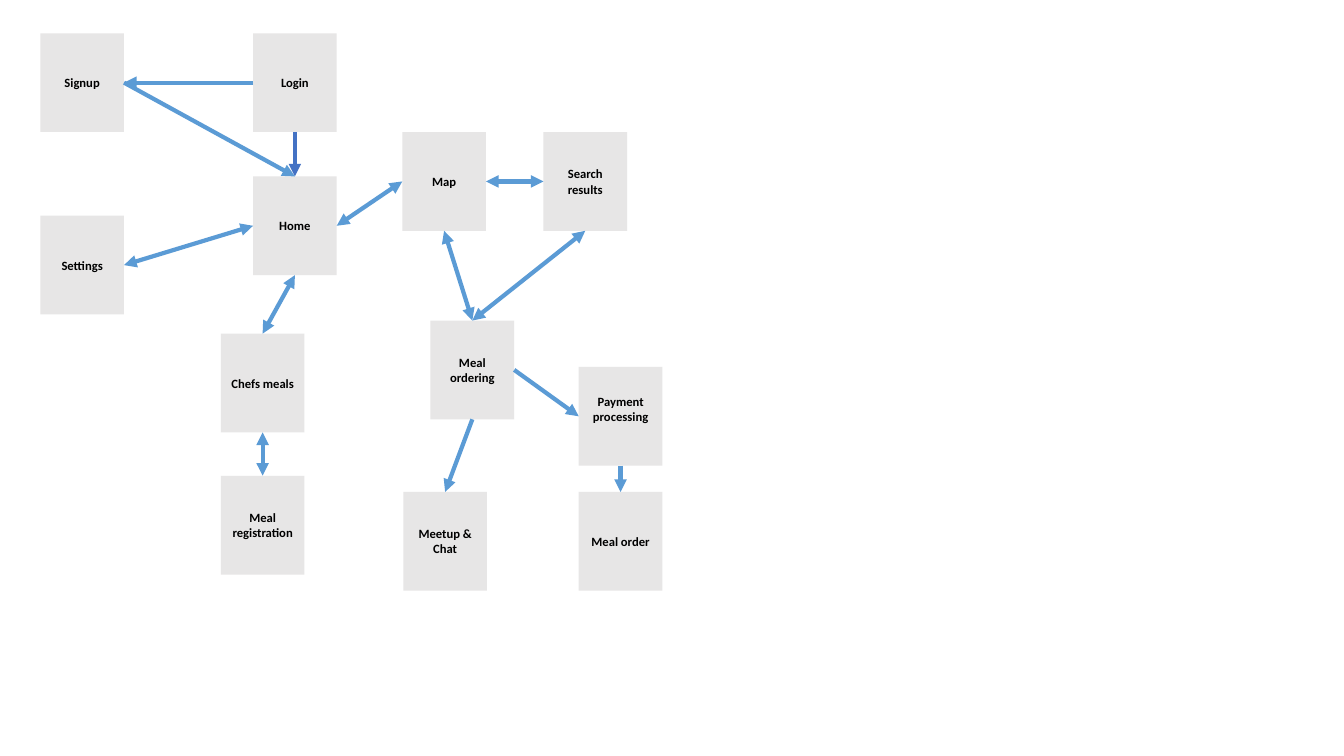
from dataclasses import dataclass

from lxml.etree import SubElement
from pptx import Presentation
from pptx.dml.color import RGBColor
from pptx.enum.shapes import MSO_CONNECTOR as Connector, MSO_SHAPE as Shape
from pptx.enum.text import MSO_ANCHOR as Anchor, PP_ALIGN as Align
from pptx.oxml.ns import qn
from pptx.util import Pt

PX = 9144
SLIDE_WIDTH, SLIDE_HEIGHT = 1333, 750
SCREEN_WIDTH, SCREEN_HEIGHT = 83, 98
TOP, LEFT, BOTTOM, RIGHT = range(4)


@dataclass(frozen=True)
class Theme:
    font: str = "Calibri"
    text_size: int = 9
    line_width: int = 3
    text: RGBColor = RGBColor(0x00, 0x00, 0x00)
    screen: RGBColor = RGBColor(0xE7, 0xE6, 0xE6)
    arrow: RGBColor = RGBColor(0x5B, 0x9B, 0xD5)
    main_arrow: RGBColor = RGBColor(0x44, 0x72, 0xC4)


THEME = Theme()

SCREENS = {
    "Login": (211, 0),
    "Signup": (0, 0),
    "Home": (211, 142),
    "Search results": (499, 98),
    "Meal ordering": (387, 285),
    "Payment processing": (534, 331),
    "Meal order": (534, 455),
    "Meetup & Chat": (360, 455),
    "Meal registration": (179, 439),
    "Settings": (0, 181),
    "Map": (359, 98),
    "Chefs meals": (179, 298),
}
RAISED_LABELS = {"Payment processing": 15}

ONE_WAY = [
    ("Login", LEFT, "Signup", RIGHT),
    ("Login", BOTTOM, "Home", TOP),
    ("Meal ordering", RIGHT, "Payment processing", LEFT),
    ("Meal ordering", BOTTOM, "Meetup & Chat", TOP),
    ("Payment processing", BOTTOM, "Meal order", TOP),
    ("Signup", RIGHT, "Home", TOP),
]
TWO_WAY = [
    ("Settings", RIGHT, "Home", LEFT),
    ("Chefs meals", TOP, "Home", BOTTOM),
    ("Meal registration", TOP, "Chefs meals", BOTTOM),
    ("Map", RIGHT, "Search results", LEFT),
    ("Meal ordering", TOP, "Map", BOTTOM),
    ("Meal ordering", TOP, "Search results", BOTTOM),
    ("Map", LEFT, "Home", RIGHT),
]


def add_screen(slide, label, left, top):
    shape = slide.shapes.add_shape(
        Shape.RECTANGLE, left * PX, top * PX, SCREEN_WIDTH * PX, SCREEN_HEIGHT * PX
    )
    shape.shadow.inherit = False
    shape.fill.solid()
    shape.fill.fore_color.rgb = THEME.screen
    shape.line.fill.background()
    frame = shape.text_frame
    frame.word_wrap = True
    frame.vertical_anchor = Anchor.MIDDLE
    frame.margin_left = frame.margin_right = 7 * PX
    frame.margin_top = 5 * PX
    frame.margin_bottom = (5 + RAISED_LABELS.get(label, 0)) * PX
    paragraph = frame.paragraphs[0]
    paragraph.text = label
    paragraph.alignment = Align.CENTER
    font = paragraph.font
    font.name = THEME.font
    font.size = Pt(THEME.text_size)
    font.bold = True
    font.color.rgb = THEME.text
    return shape


def add_arrow(slide, start, start_side, end, end_side, color, ends):
    arrow = slide.shapes.add_connector(
        Connector.STRAIGHT, start.left, start.top, end.left, end.top
    )
    arrow.begin_connect(start, start_side)
    arrow.end_connect(end, end_side)
    arrow.line.color.rgb = color
    arrow.line.width = Pt(THEME.line_width)
    properties = arrow._element.spPr
    outline = properties.find(qn("a:ln"))
    for end_name in ends:
        SubElement(outline, qn(f"a:{end_name}"), type="triangle")
    SubElement(properties, qn("a:effectLst"))


def add_screen_flow(slide, left, top):
    screens = {
        label: add_screen(slide, label, left + x, top + y)
        for label, (x, y) in SCREENS.items()
    }
    for links, ends in ((ONE_WAY, ["tailEnd"]), (TWO_WAY, ["headEnd", "tailEnd"])):
        for start, start_side, end, end_side in links:
            is_main = (start, end) == ("Login", "Home")
            color = THEME.main_arrow if is_main else THEME.arrow
            add_arrow(slide, screens[start], start_side, screens[end], end_side, color, ends)


def main():
    presentation = Presentation()
    presentation.slide_width = SLIDE_WIDTH * PX
    presentation.slide_height = SLIDE_HEIGHT * PX
    slide = presentation.slides.add_slide(presentation.slide_layouts[6])
    add_screen_flow(slide, 40, 33)
    presentation.save("out.pptx")


if __name__ == "__main__":
    main()
